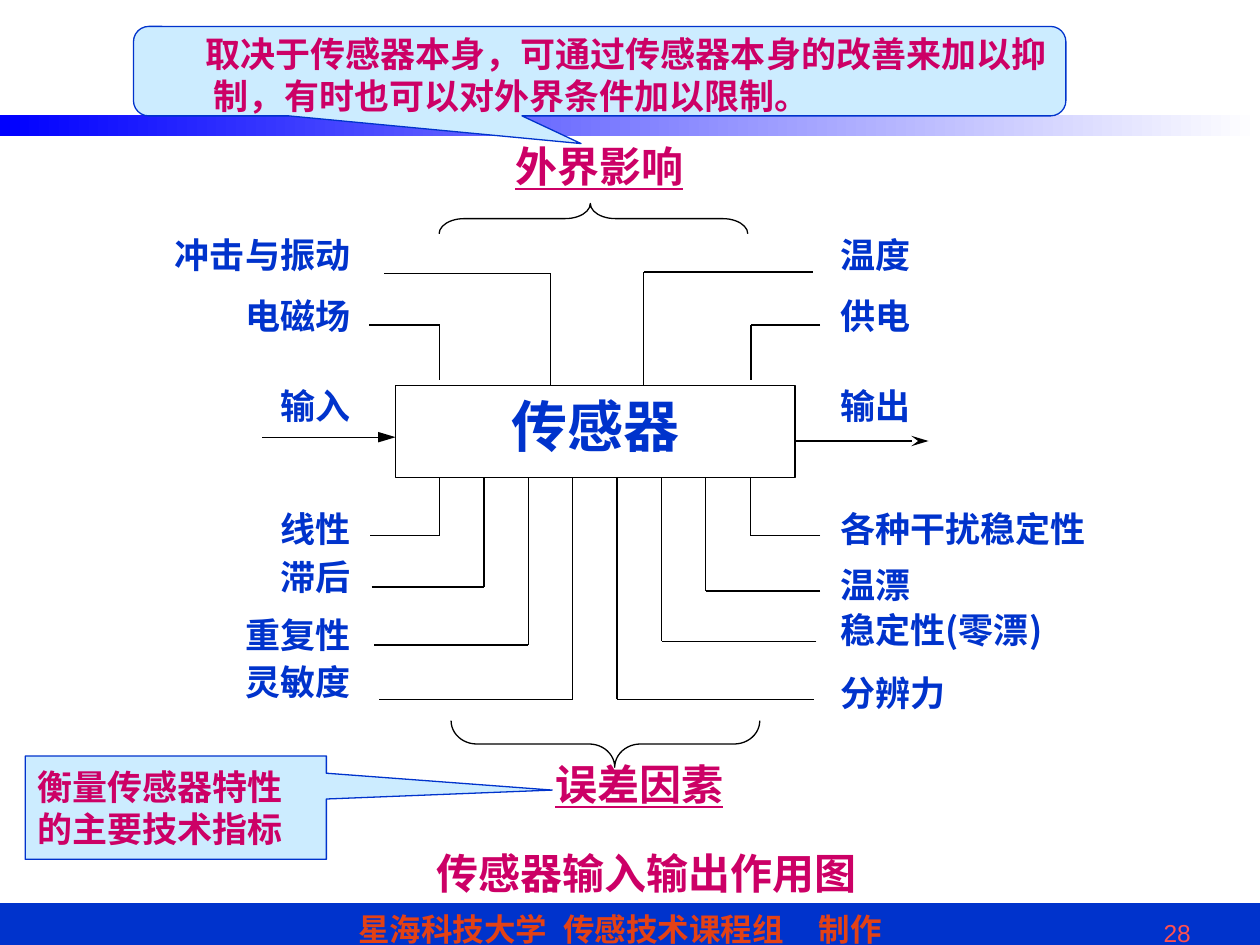
from dataclasses import dataclass

from lxml import etree
from pptx import Presentation, util as u
from pptx.dml.color import RGBColor
from pptx.enum import shapes, text
from pptx.oxml.ns import qn


@dataclass(frozen=True)
class Theme:
    cjk: str = "Noto Sans CJK SC"
    latin: str = "Arial"
    blue: str = "0033CC"
    magenta: str = "CC0066"
    pale: str = "CCECFF"
    orange: str = "E34115"
    red: str = "FF5050"
    black: str = "000000"
    white: str = "FFFFFF"
    band: str = "0000FF"
    page: int = 14
    footer: int = 18
    label: int = 20
    heading: int = 24
    sensor: int = 32
    line: float = 0.75
    leading: float = 1.2


THEME = Theme()
LEFT, RIGHT, CENTER, JUSTIFY = (text.PP_ALIGN.LEFT, text.PP_ALIGN.RIGHT,
                                text.PP_ALIGN.CENTER, text.PP_ALIGN.JUSTIFY)
WIDTH, HEIGHT = 10, 7.5
BOX = (3.14, 3.06, 3.17, 0.73)
BOX_BOTTOM = BOX[1] + BOX[3]
PIN_START, PIN_GAP = 3.49, 0.352
LABEL_RIGHT_EDGE, LABEL_LEFT_EDGE, LABEL_WIDTH, LABEL_HEIGHT = 2.78, 6.67, 2.82, 0.48

# Label, label top, outer end of lead, lead height; from the outside inwards
ERRORS_LEFT = [("线性", 4.03, 2.94, 4.25), ("滞后", 4.41, 2.95, 4.66),
               ("重复性", 4.87, 2.97, 5.12), ("灵敏度", 5.24, 3.01, 5.55)]
ERRORS_RIGHT = [("各种干扰稳定性", 4.03, 6.51, 4.25), ("温漂", 4.47, 6.51, 4.69),
                ("稳定性(零漂)", 4.83, 6.48, 5.09), ("分辨力", 5.33, 6.46, 5.55)]
# Label, label top, outer end, lead height, pin, pin end
INFLUENCES = [("冲击与振动", 1.85, 3.05, 2.17, 4.37, 3.06), ("电磁场", 2.34, 2.93, 2.58, 3.49, 3.02),
              ("温度", 1.85, 6.45, 2.16, 5.11, 3.06), ("供电", 2.34, 6.51, 2.58, 5.96, 3.02)]
# Label, start, end, height, arrowhead
SIGNALS = [("输入", 2.08, 3.14, 3.47, "triangle"), ("输出", 6.31, 7.37, 3.5, "stealth")]
SIGNAL_LABEL_TOP = 3.05
# Text, left, top, width, underlined
HEADINGS = [("外界影响", 2.11, 1.07, 5.29, True), ("误差因素", 2.43, 5.97, 5.29, True),
            ("传感器输入输出作用图", 1.96, 6.68, 6.35, False)]
# Place, rotation, curve and point adjustments
BRACES = [((4.59, 0.51, 0.24, 2.45), 270, (0.83, 0.49)),
          ((4.62, 4.68, 0.37, 2.45), 90, (0.55, 0.47))]
# Text and the extra spacing after it, in points
FOOTER = [("星海科技大学", 0), (" ", 5), ("传感技术课程组", 0), (" ", 16), ("制作", 0)]
CRITERIA = "衡量传感器特性的主要技术指标"
ADVICE = "取决于传感器本身，可通过传感器本身的改善来加以抑制，有时也可以对外界条件加以限制。"

presentation = Presentation()
presentation.slide_width, presentation.slide_height = u.Inches(WIDTH), u.Inches(HEIGHT)
slide = presentation.slides.add_slide(presentation.slide_layouts[6])


def inches(values):
    return [u.Inches(value) for value in values]


def color(value):
    return RGBColor.from_string(value)


def write(shape, content, size, ink, align=LEFT, font=THEME.cjk, bold=True,
          underline=None, margins=(0.1, 0.05), anchor=text.MSO_ANCHOR.TOP):
    """Fill a shape with one paragraph; content is a string or (text, spacing) pairs."""
    frame = shape.text_frame
    frame.word_wrap = True
    frame.vertical_anchor = anchor
    frame.margin_left = frame.margin_right = u.Inches(margins[0])
    frame.margin_top = frame.margin_bottom = u.Inches(margins[1])
    paragraph = frame.paragraphs[0]
    paragraph.alignment = align
    paragraph.line_spacing = u.Pt(size * THEME.leading)
    paragraph.font.size = u.Pt(size)
    paragraph.font.bold = bold
    paragraph.font.underline = underline
    paragraph.font.color.rgb = color(ink)
    paragraph.font.name = font
    defaults = paragraph._p.pPr.find(qn("a:defRPr"))
    etree.SubElement(defaults, qn("a:ea")).set("typeface", THEME.cjk)
    for part, spacing in [(content, 0)] if isinstance(content, str) else content:
        run = paragraph.add_run()
        run.text = part
        if spacing:
            run._r.get_or_add_rPr().set("spc", str(spacing * 100))
    return paragraph


def add_text(place, content, size, ink, **options):
    return write(slide.shapes.add_textbox(*inches(place)), content, size, ink, **options)


def add_shape(kind, place, fill=None, line=None, adjustments=()):
    shape = slide.shapes.add_shape(kind, *inches(place))
    shape.shadow.inherit = False
    if fill:
        shape.fill.solid()
        shape.fill.fore_color.rgb = color(fill)
    else:
        shape.fill.background()
    if line:
        shape.line.color.rgb = color(line)
        shape.line.width = u.Pt(THEME.line)
    else:
        shape.line.fill.background()
    for index, value in enumerate(adjustments):
        shape.adjustments[index] = value
    return shape


def add_line(start, end, arrowhead=None):
    line = slide.shapes.add_connector(shapes.MSO_CONNECTOR.STRAIGHT, *inches(start + end))
    line.line.color.rgb = color(THEME.black)
    line.line.width = u.Pt(THEME.line)
    properties = line._element.spPr
    etree.SubElement(properties, qn("a:effectLst"))
    if arrowhead:
        tail = etree.SubElement(properties.find(qn("a:ln")), qn("a:tailEnd"))
        for name, value in (("type", arrowhead), ("w", "med"), ("len", "lg")):
            tail.set(name, value)


def add_label(content, top, on_left):
    left = LABEL_RIGHT_EDGE - LABEL_WIDTH if on_left else LABEL_LEFT_EDGE
    add_text((left, top, LABEL_WIDTH, LABEL_HEIGHT), content, THEME.label, THEME.blue,
             align=RIGHT if on_left else JUSTIFY, margins=(0, 0))


def add_lead(content, top, outer, level, pin, box_edge):
    """Label with a bent lead running to the sensor box."""
    add_line((pin, level), (pin, box_edge))
    add_line((outer, level), (pin, level))
    add_label(content, top, outer < pin)


def build():
    kinds = shapes.MSO_SHAPE
    middle = text.MSO_ANCHOR.MIDDLE
    footer = add_shape(kinds.RECTANGLE, (0, 7.17, WIDTH, 0.4), THEME.blue, THEME.blue)
    write(footer, FOOTER, THEME.footer, THEME.orange, align=CENTER, font=THEME.latin,
          margins=(0.02, 0.05), anchor=middle)
    footer.text_frame.margin_right = u.Inches(0.18)
    band = add_shape(kinds.RECTANGLE, (0, 0.91, WIDTH, 0.17))
    band.fill.gradient()
    band.fill.gradient_angle = 0
    for stop, ink in zip(band.fill.gradient_stops, (THEME.band, THEME.white)):
        stop.color.rgb = color(ink)
    add_text((7.05, 7.24, 2.5, 0.26), "28", THEME.page, THEME.red,
             align=RIGHT, font=THEME.latin, bold=False)

    sensor = add_shape(kinds.RECTANGLE, BOX, THEME.white, THEME.black)
    write(sensor, "传感器", THEME.sensor, THEME.blue, align=CENTER)

    for influence in INFLUENCES:
        add_lead(*influence)
    for index, error in enumerate(ERRORS_LEFT + ERRORS_RIGHT[::-1]):
        add_lead(*error, PIN_START + index * PIN_GAP, BOX_BOTTOM)
    for content, start, end, level, arrowhead in SIGNALS:
        add_line((start, level), (end, level), arrowhead)
        add_label(content, SIGNAL_LABEL_TOP, start < BOX[0])

    for content, left, top, width, underline in HEADINGS:
        add_text((left, top, width, 0.5), content, THEME.heading, THEME.magenta,
                 align=CENTER, underline=underline)
    for place, rotation, adjustments in BRACES:
        brace = add_shape(kinds.RIGHT_BRACE, place, None, THEME.black, adjustments)
        brace.rotation = rotation

    criteria = add_shape(kinds.RECTANGULAR_CALLOUT, (0.2, 6, 2.39, 0.82),
                         THEME.pale, THEME.blue, (1.25, -0.17))
    write(criteria, CRITERIA, THEME.label, THEME.magenta, anchor=middle)
    add_shape(kinds.ROUNDED_RECTANGULAR_CALLOUT, (1.06, 0.21, 7.4, 0.71),
              THEME.pale, THEME.blue, (-0.02, 0.81, 0.17))
    advice = add_text((1.22, 0.21, 7.24, 0.77), ADVICE, THEME.label, THEME.magenta)
    indents = advice._p.get_or_add_pPr()
    indents.set("marL", str(u.Inches(0.38)))
    indents.set("indent", str(u.Inches(-0.07)))


if __name__ == "__main__":
    build()
    presentation.save("out.pptx")
